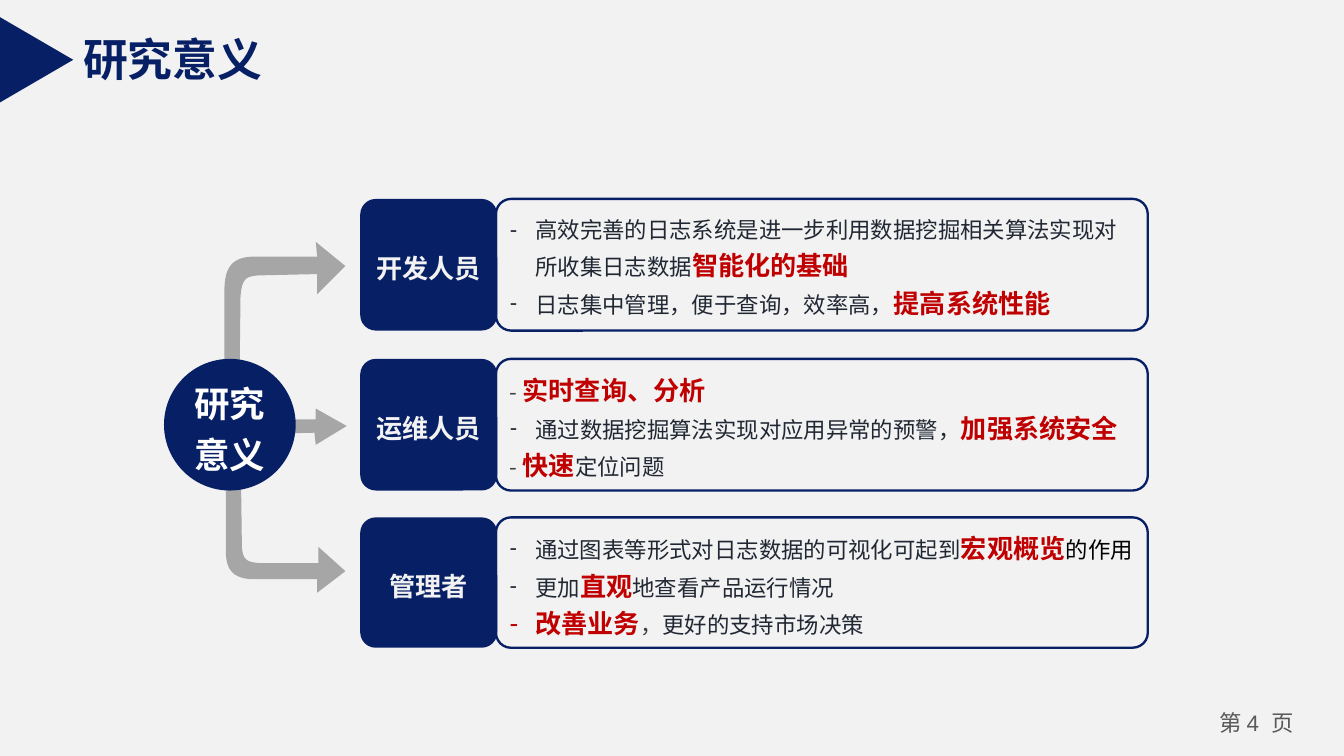
from lxml import etree
from pptx import Presentation
from pptx.dml.color import RGBColor
from pptx.enum.shapes import MSO_SHAPE as SHAPE
from pptx.enum.text import MSO_ANCHOR as ANCHOR, PP_ALIGN as ALIGN
from pptx.oxml.ns import qn
from pptx.util import Inches, Pt

COLORS = {"navy": "071F65", "paper": "F2F2F2", "arrow": "A6A6A6", "red": "C00000",
          "ink": "212834", "dash": "404040", "page": "595959",
          "white": "FFFFFF", "black": "000000"}
CJK = "Noto Sans CJK SC"


def rgb(name):
    return RGBColor.from_string(COLORS[name])


def style_shape(sp, fill=None, line=None):
    sp.shadow.inherit = False
    if fill:
        sp.fill.solid()
        sp.fill.fore_color.rgb = rgb(fill)
    else:
        sp.fill.background()
    if line:
        sp.line.color.rgb = rgb(line)
        sp.line.width = Pt(1.25)
    else:
        sp.line.fill.background()


def add_preset(slide, kind, box, fill=None, line=None, radius=None):
    sp = slide.shapes.add_shape(kind, *map(Inches, box))
    style_shape(sp, fill, line)
    if radius:
        sp.adjustments[0] = radius
    return sp


def set_frame(tf, side, top, anchor=ANCHOR.MIDDLE, wrap=True):
    tf.margin_left = tf.margin_right = Inches(side)
    tf.margin_top = tf.margin_bottom = Inches(top)
    tf.vertical_anchor = anchor
    tf.word_wrap = wrap


def add_run(p, text, size, color, bold=False, font=CJK):
    r = p.add_run()
    r.text = text
    r.font.size, r.font.bold, r.font.name = Pt(size), bold, font
    r.font.color.rgb = rgb(color)
    etree.SubElement(r.font._element, qn("a:ea")).set("typeface", CJK)


def add_dash(p):
    pPr = p._p.get_or_add_pPr()
    pPr.set("marL", str(Inches(0.19)))
    pPr.set("indent", str(Inches(-0.19)))
    etree.SubElement(pPr, qn("a:buFont")).set("typeface", "Arial")
    etree.SubElement(pPr, qn("a:buChar")).set("char", "-")


def add_label(sp, text, size, color, font=CJK):
    set_frame(sp.text_frame, 0.07, 0.03)
    p = sp.text_frame.paragraphs[0]
    p.alignment, p.line_spacing = ALIGN.CENTER, 1.2
    add_run(p, text, size, color, True, font)


# Heading with the pointer at the slide edge
def add_heading(slide, left, top, text):
    pointer = add_preset(slide, SHAPE.ISOSCELES_TRIANGLE,
                         (left - 0.05, top + 0.17, 0.64, 0.55), "navy")
    pointer.rotation = 90
    box = slide.shapes.add_textbox(*map(Inches, (left + 0.52, top + 0.19, 1.55, 0.5)))
    set_frame(box.text_frame, 0.1, 0.05, ANCHOR.TOP, False)
    add_run(box.text_frame.paragraphs[0], text, 24, "navy", True, "Arial")


# Page number
def add_page_number(slide, box, number):
    tf = slide.shapes.add_textbox(*map(Inches, box)).text_frame
    set_frame(tf, 0.07, 0.04, ANCHOR.TOP)
    p = tf.paragraphs[0]
    p.alignment = ALIGN.CENTER
    for text, font in (("第 ", CJK), (f"{number}  ", "Arial"), ("页", CJK)):
        add_run(p, text, 12, "page", font=font)


# Arrow outline: a pair is a corner, three pairs are a Bezier curve
def add_arrow(slide, left, top, outline, steps=12):
    points = []
    for seg in outline:
        if len(seg) == 2:
            points.append(seg)
            continue
        ends = (points[-1],) + seg
        for i in range(1, steps + 1):
            t = i / steps
            weights = ((1 - t) ** 3, 3 * t * (1 - t) ** 2, 3 * t * t * (1 - t), t ** 3)
            points.append(tuple(sum(w * e[k] for w, e in zip(weights, ends))
                                for k in (0, 1)))
    points = [(Inches(left + x), Inches(top + y)) for x, y in points]
    builder = slide.shapes.build_freeform(*points[0])
    builder.add_line_segments(points[1:], close=True)
    style_shape(builder.convert_to_shape(), "arrow")


# Arrows from the hub to the three rows
def add_arrows(slide, left, top):
    for outline in ARROWS:
        add_arrow(slide, left, top, outline)


# Hub circle
def add_hub(slide, left, top, size, text):
    hub = add_preset(slide, SHAPE.OVAL, (left, top, size, size), "navy")
    add_label(hub, text, 19, "white", "Arial")


# Row: role tag and its framed points
def add_role(slide, left, top, height, role, points):
    panel = add_preset(slide, SHAPE.ROUNDED_RECTANGLE,
                       (left + 1.01, top, 4.85, height), line="navy", radius=0.115)
    tf = panel.text_frame
    set_frame(tf, 0.07, 0.03)
    for i, (dashed, runs) in enumerate(points):
        p = tf.paragraphs[0] if i == 0 else tf.add_paragraph()
        p.alignment, p.line_spacing = ALIGN.LEFT, 1.2
        if dashed:
            add_dash(p)
        for text, color in runs:
            strong = color == "red"
            add_run(p, text, 14 if strong else 12, color, strong)
    tag = add_preset(slide, SHAPE.ROUNDED_RECTANGLE, (left, top, 1.02, height),
                     "navy", radius=0.119)
    add_label(tag, role, 14, "paper")


# Arrow outlines, measured from the hub's corner
ARROWS = [
    [(0.57, 0.64), (0.58, 1.38), ((0.58, 1.51), (0.63, 1.51), (0.71, 1.52)),
     (1.15, 1.52), (1.15, 1.4), (1.35, 1.58), (1.14, 1.74), (1.14, 1.64),
     ((1.14, 1.64), (0.85, 1.64), (0.68, 1.64)),
     ((0.51, 1.64), (0.46, 1.57), (0.46, 1.42)),
     (0.46, 0.62), ((0.47, 0.49), (0.54, 0.5), (0.57, 0.64))],
    [(0.29, 0.57), (1.12, 0.55), (1.13, 0.64), (1.36, 0.5), (1.13, 0.37),
     (1.13, 0.45), (0.29, 0.45)],
    [(0.56, 0.4), (0.57, -0.46), ((0.58, -0.61), (0.62, -0.61), (0.7, -0.62)),
     (1.14, -0.63), (1.14, -0.48), (1.35, -0.69), (1.13, -0.87), (1.14, -0.76),
     ((1.14, -0.76), (0.84, -0.76), (0.67, -0.76)),
     ((0.51, -0.76), (0.45, -0.68), (0.45, -0.51)),
     (0.45, 0.42), ((0.47, 0.57), (0.54, 0.56), (0.56, 0.4))],
]

# Top, height, role and points of each row
ROLES = [
    (1.48, 0.98, "开发人员", [
        (True, [("高效完善的日志系统是进一步利用数据挖掘相关算法实现对所收集日志数据", "ink"),
                ("智能化的基础", "red")]),
        (True, [("日志集中管理，便于查询，效率高，", "ink"), ("提高系统性能", "red")])]),
    (2.67, 0.98, "运维人员", [
        (False, [("- ", "dash"), ("实时查询、分析", "red")]),
        (True, [("通过数据挖掘算法实现对应用异常的预警，", "ink"), ("加强系统安全", "red")]),
        (False, [("- ", "dash"), ("快速", "red"), ("定位问题", "ink")])]),
    (3.85, 0.97, "管理者", [
        (True, [("通过图表等形式对日志数据的可视化可起到", "ink"), ("宏观概览", "red"),
                ("的作用", "black")]),
        (True, [("更加", "ink"), ("直观", "red"), ("地查看产品运行情况", "ink")]),
        (True, [("改善业务", "red"), ("，", "dash"), ("更好的支持市场决策", "ink")])]),
]

prs = Presentation()
prs.slide_width = Inches(10)
prs.slide_height = prs.slide_width * 9 // 16
slide = prs.slides.add_slide(prs.slide_layouts[6])
slide.background.fill.solid()
slide.background.fill.fore_color.rgb = rgb("paper")

add_page_number(slide, (8.9, 5.24, 0.9, 0.3), 4)
add_heading(slide, 0, 0, "研究意义")
add_arrows(slide, 1.22, 2.67)
for top, height, role, points in ROLES:
    add_role(slide, 2.68, top, height, role, points)
add_hub(slide, 1.22, 2.67, 0.98, "研究意义")

prs.save("out.pptx")
